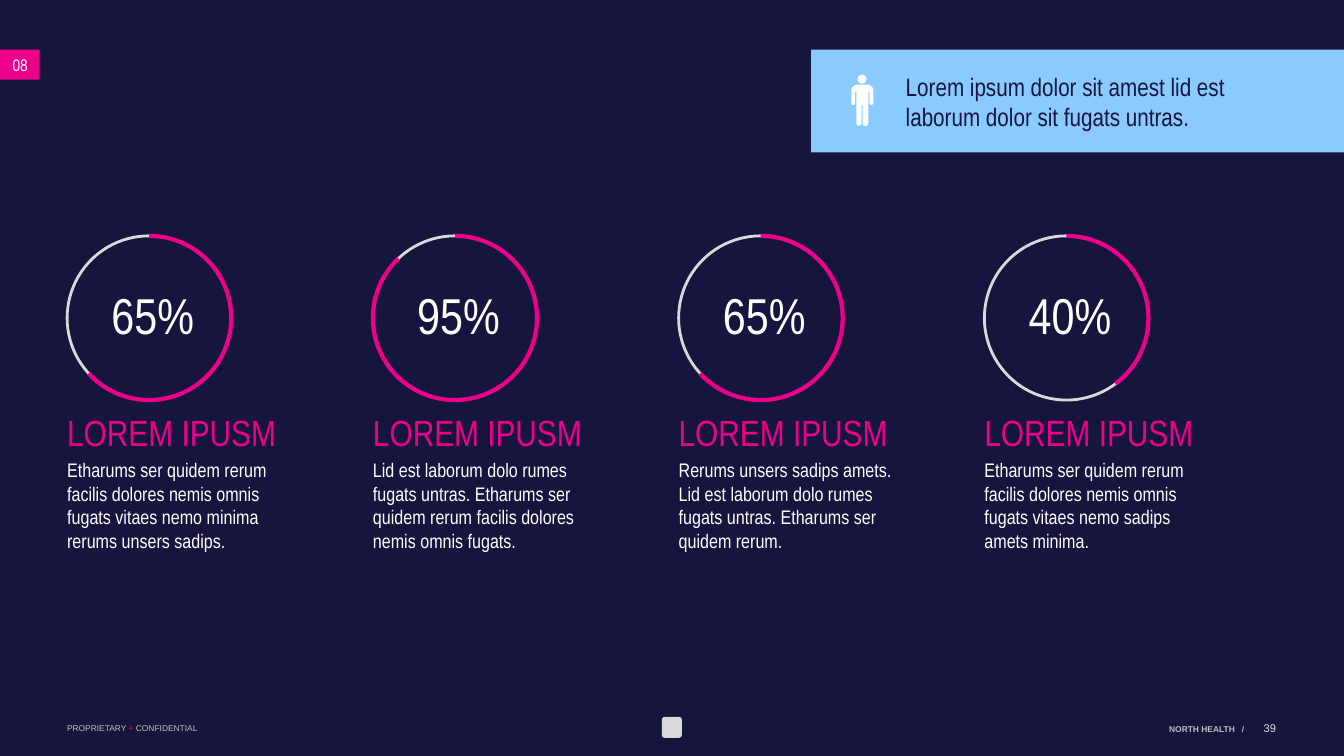
from math import cos, radians, sin
from pptx import Presentation
from pptx.dml.color import RGBColor
from pptx.enum import shapes, text
from pptx.util import Pt

NAVY, PINK, SKY, WHITE = "16153E", "EC008B", "89CBFF", "FFFFFF"
PALE, GREY, MIST = "D9D9D9", "BFBFBF", "DCDCDC"
NARROW = "Arial Narrow"
HEAD = "LOREM IPUSM"
# label, end of the arc in degrees, body text
STATS = [
    ("65%", 137.46, "Etharums ser quidem rerum facilis dolores nemis omnis "
     "fugats vitaes nemo minima rerums unsers sadips."),
    ("95%", 226.48, "Lid est laborum dolo rumes fugats untras. Etharums ser "
     "quidem rerum facilis dolores nemis omnis fugats."),
    ("65%", 137.46, "Rerums unsers sadips amets. Lid est laborum dolo rumes "
     "fugats untras. Etharums ser quidem rerum."),
    ("40%", 53.16, "Etharums ser quidem rerum facilis dolores nemis omnis "
     "fugats vitaes nemo sadips amets minima."),
]
CALL = [("Lorem ipsum dolor sit amest lid est ", NAVY), ("\n", NAVY),
        ("laborum dolor sit fugats untras.", NAVY)]
MARK = [("PROPRIETARY ", GREY), ("+", PINK), (" CONFIDENTIAL", GREY)]
# body outline: centre x, centre y, radius, start and end angle, in points
MAN = [
    (4.3, 11.5, 4.3, 180, 270), (11.5, 11.5, 4.3, 270, 360),
    (14.4, 20.2, 1.4, 0, 180), (13, 12.2, 0, 0, 0), (12.2, 12.2, 0, 0, 0),
    (10.1, 34.6, 2.1, 0, 180), (8, 21.6, 0, 0, 0), (7.4, 21.6, 0, 0, 0),
    (5.5, 34.6, 1.9, 0, 180), (3.6, 12.2, 0, 0, 0), (2.8, 12.2, 0, 0, 0),
    (1.4, 20.2, 1.4, 0, 180),
]
LEFT, STEP, RING_Y, RING = 48, 218.5, 168.5, 117.3

prs = Presentation()
prs.slide_width, prs.slide_height = Pt(960.48), Pt(540)
slide = prs.slides.add_slide(prs.slide_layouts[6])
KIND = shapes.MSO_SHAPE
MID = text.MSO_ANCHOR.MIDDLE
CENTER, RIGHT = text.PP_ALIGN.CENTER, text.PP_ALIGN.RIGHT


def rgb(code):
    return RGBColor.from_string(code)


def paint(shape, fill=None, line=None, width=0):
    shape.shadow.inherit = False
    if fill:
        shape.fill.solid()
        shape.fill.fore_color.rgb = rgb(fill)
    else:
        shape.fill.background()
    if line:
        shape.line.color.rgb = rgb(line)
        shape.line.width = Pt(width)
    else:
        shape.line.fill.background()
    return shape


def draw(kind, x, y, w, h, *look):
    shape = slide.shapes.add_shape(kind, Pt(x), Pt(y), Pt(w), Pt(h))
    return paint(shape, *look)


def box(x, y, w, h):
    return slide.shapes.add_textbox(Pt(x), Pt(y), Pt(w), Pt(h))


def write(shape, paras, align=text.PP_ALIGN.LEFT, anchor=text.MSO_ANCHOR.TOP,
          left=0, right=0, wrap=True, after=0):
    """Each paragraph is (runs, font values); a run is (words, colour)."""
    frame = shape.text_frame
    form = dict(word_wrap=wrap, vertical_anchor=anchor, margin_left=Pt(left),
                margin_right=Pt(right), margin_top=0, margin_bottom=0)
    for key, val in form.items():
        setattr(frame, key, val)
    for i, (runs, font) in enumerate(paras):
        para = frame.add_paragraph() if i else frame.paragraphs[0]
        para.alignment = align
        para.space_after = Pt(after)
        for words, color in runs:
            if words == "\n":
                para.add_line_break()
                continue
            run = para.add_run()
            run.text = words
            run.font.color.rgb = rgb(color)
            for key, val in font.items():
                setattr(run.font, key, val)


def face(size, name=NARROW, bold=False):
    return dict(size=Pt(size), name=name, bold=bold)


def trace(x, y, arcs):
    """Draw a closed outline of arcs joined by straight lines."""
    spots = []
    for cx, cy, r, start, end in arcs:
        count = 12 if r else 0
        for k in range(count + 1):
            turn = radians(start + (end - start) * k / max(count, 1))
            spots.append(((x + cx + r * cos(turn)) * 100,
                          (y + cy + r * sin(turn)) * 100))
    pen = slide.shapes.build_freeform(*spots[0], scale=Pt(0.01))
    pen.add_line_segments(spots[1:], close=True)
    return pen.convert_to_shape()


# Background and footer
slide.background.fill.solid()
slide.background.fill.fore_color.rgb = rgb(NAVY)
write(box(789, 517, 109.5, 7.2),
      [([("NORTH HEALTH   /", GREY)], face(6, "Arial", True))],
      RIGHT, right=9.4)
write(box(38.5, 516.5, 104, 7.2), [(MARK, face(6, "Arial"))], left=9.4)
draw(KIND.ROUNDED_RECTANGLE, 473, 512, 14.4, 15.1, PALE)
write(box(882, 515, 30, 9.4), [([("39", MIST)], face(8, "Arial"))],
      RIGHT, MID)

# Section number
tag = draw(KIND.RECTANGLE, 0, 35.5, 28.3, 21.5, PINK)
write(tag, [([("08", WHITE)], face(12))], anchor=MID, left=9)

# Rings with their text
for i, (label, end, body) in enumerate(STATS):
    x = LEFT + i * STEP
    disc = draw(KIND.OVAL, x + 6, 177, 110.5, 95)
    write(disc, [([(label, WHITE)], face(36))], CENTER, MID, wrap=False)
    draw(KIND.OVAL, x, RING_Y, RING, RING, None, PALE, 2)
    arc = draw(KIND.ARC, x, RING_Y, RING, RING, None, PINK, 3)
    for k, angle in enumerate((270, end)):
        arc.adjustments[k] = angle * 0.6
    write(box(x, 293, 152.6, 102),
          [([(HEAD, PINK)], face(26)), ([(body, WHITE)], face(14))], after=3)

# Callout
panel = draw(KIND.RECTANGLE, 579.6, 35.5, 380.88, 73.4, SKY)
write(panel, [(CALL, face(18))], anchor=MID, left=67.7, right=8.6)
paint(trace(608.4, 53.3, MAN), WHITE)
draw(KIND.OVAL, 612.8, 53.3, 6.5, 6.5, WHITE)

prs.save("out.pptx")
